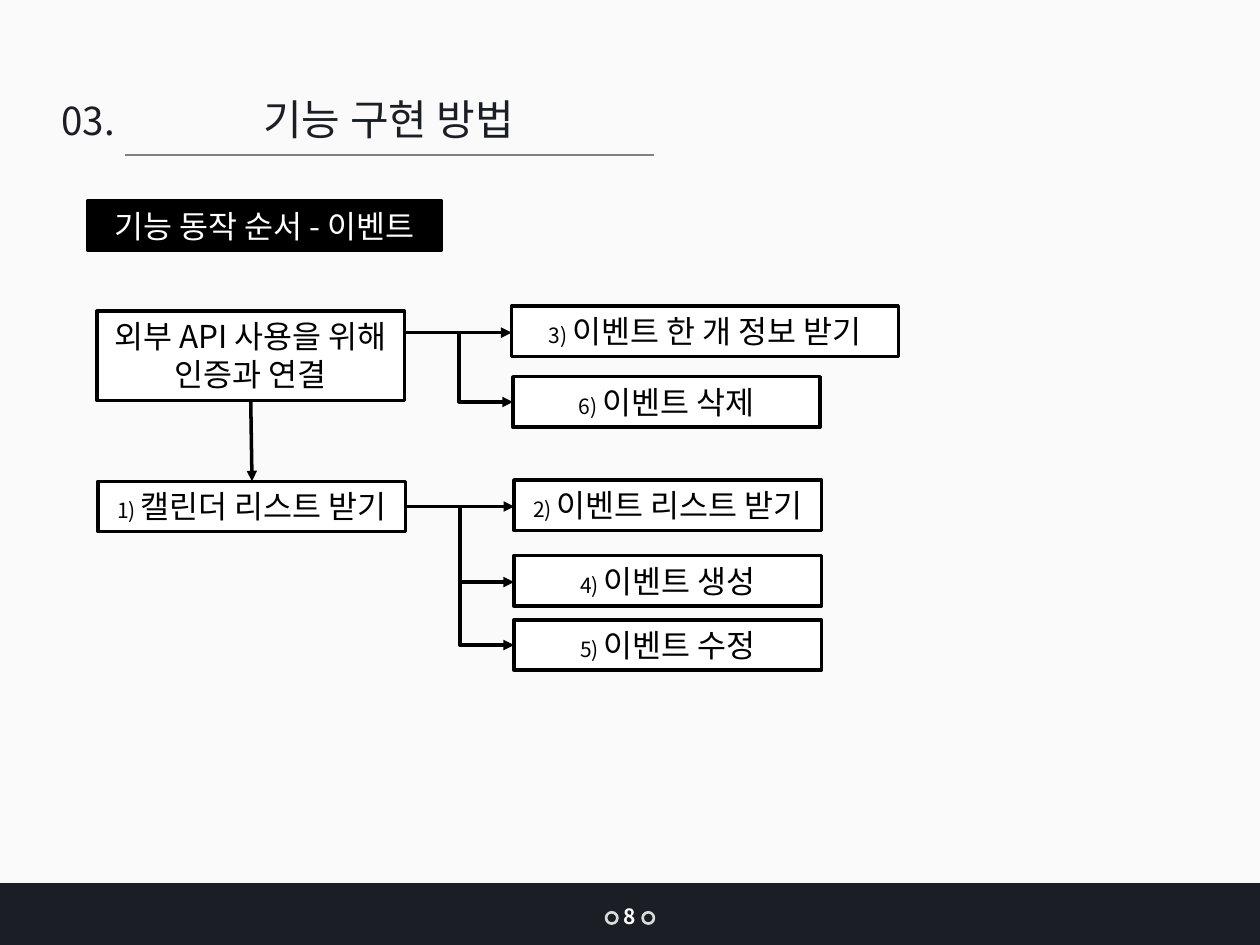
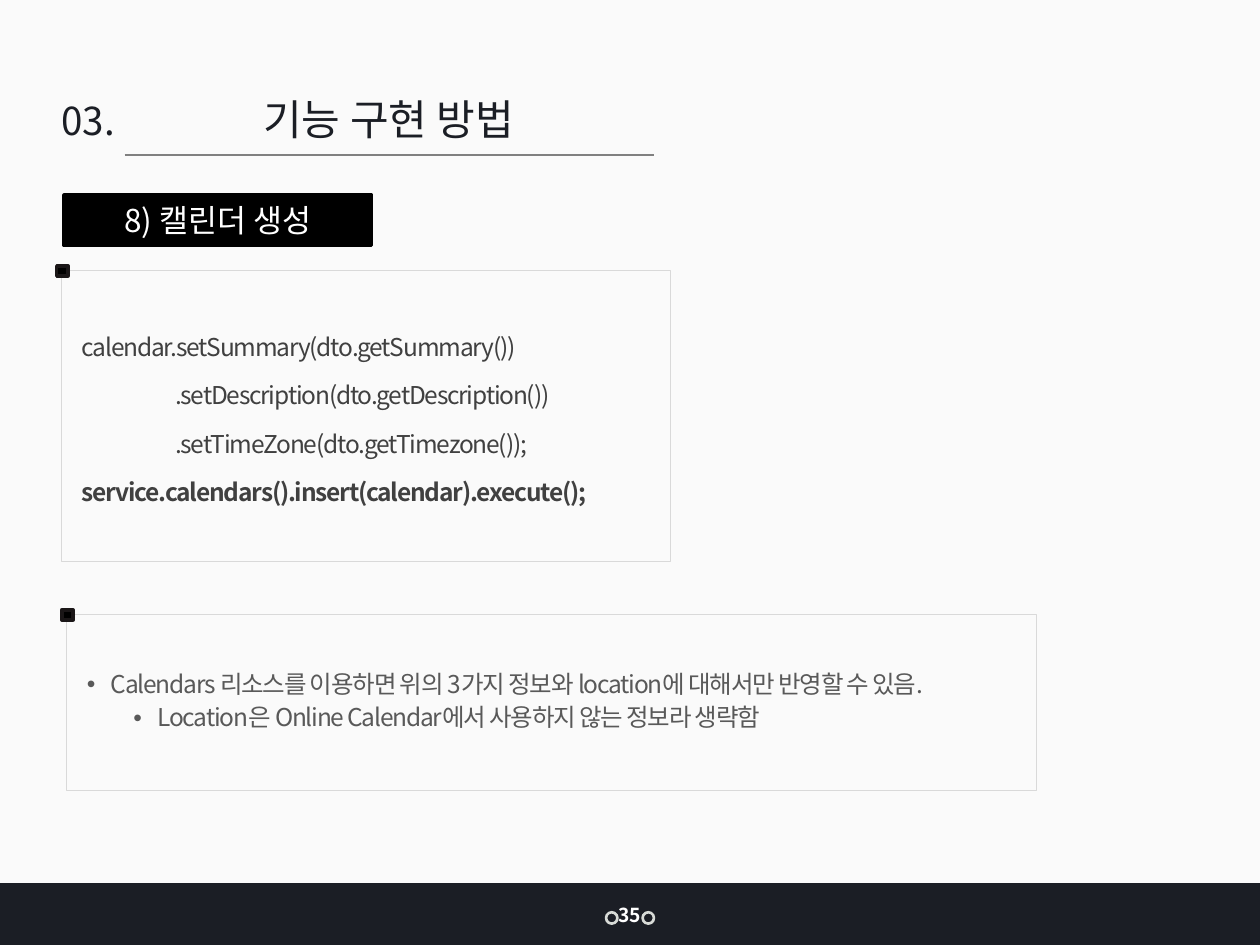
"""Builds two slides on how the calendar event features are implemented."""
from dataclasses import dataclass

from lxml.etree import SubElement
from pptx import Presentation
from pptx.dml.color import RGBColor as RGB
from pptx.enum.shapes import MSO_CONNECTOR as LINE, MSO_SHAPE as SHAPE
from pptx.enum.text import MSO_ANCHOR as ANCHOR, PP_ALIGN as ALIGN
from pptx.oxml.ns import qn
from pptx.util import Pt

PX = 9144
WIDTH, HEIGHT = 1000, 750


@dataclass(frozen=True)
class Theme:
    """Colours, font and type sizes shared by the slides."""
    font: str = "Noto Sans CJK KR"
    paper: str = "FAFAFA"
    navy: str = "1B1E25"
    ring: str = "D8DBD7"
    rule: str = "808080"
    frame: str = "D9D9D9"
    marker: str = "1A1617"
    black: str = "000000"
    white: str = "FFFFFF"
    code: str = "404040"
    note: str = "595959"
    title: int = 24
    section: int = 22
    label: int = 18
    body: int = 14
    number: int = 12


def write(p, text, size, color, bold=None, tracking=None, align=None):
    """Append a formatted run to a paragraph."""
    if align is not None:
        p.alignment = align
    r = p.add_run()
    r.text = text
    r.font.size = Pt(size)
    r.font.bold = bold
    r.font.color.rgb = RGB.from_string(color)
    r.font.name = Theme.font
    rpr = r.font._element
    SubElement(rpr, qn("a:ea"), typeface=Theme.font)
    if tracking:
        rpr.set("spc", str(tracking))


class Deck:
    """Holds the theme and the current slide and draws elements on it."""

    def __init__(self):
        """Start an empty presentation."""
        self.theme = Theme()
        self.prs = Presentation()
        self.prs.slide_width, self.prs.slide_height = WIDTH * PX, HEIGHT * PX

    def slide(self, page, page_size):
        """Add a slide with the shared title and footer."""
        t = self.theme
        self.s = self.prs.slides.add_slide(self.prs.slide_layouts[6])
        fill = self.s.background.fill
        fill.solid()
        fill.fore_color.rgb = RGB.from_string(t.paper)
        self.shape(0, 701, WIDTH, 49, fill=t.navy)
        for x in (481, 510):
            self.shape(x, 724, 9, 9, SHAPE.OVAL, t.navy, t.ring, 1.5)
        self.text(70, 69, 477, 50, "기능 구현 방법", t.title, t.navy)
        self.text(30, 72, 80, 47, "03.", t.section, t.navy)
        self.line((99, 123), (519, 123), t.rule, 0.75)
        self.text(480, 712, 40, 30, page, page_size, t.white, bold=True, wrap=False)

    def shape(self, x, y, w, h, kind=SHAPE.RECTANGLE, fill=None, line=None, weight=2):
        """Draw a preset shape and return it."""
        sp = self.s.shapes.add_shape(kind, x * PX, y * PX, w * PX, h * PX)
        sp.shadow.inherit = False
        if fill:
            sp.fill.solid()
            sp.fill.fore_color.rgb = RGB.from_string(fill)
        else:
            sp.fill.background()
        if line:
            sp.line.color.rgb = RGB.from_string(line)
            sp.line.width = Pt(weight)
        else:
            sp.line.fill.background()
        return sp

    def text(self, x, y, w, h, text, size, color, bold=None, wrap=True):
        """Draw a centred text box."""
        tf = self.s.shapes.add_textbox(x * PX, y * PX, w * PX, h * PX).text_frame
        tf.word_wrap = wrap
        write(tf.paragraphs[0], text, size, color, bold=bold, align=ALIGN.CENTER)

    def box(self, x, y, w, h, text, number="", dark=False):
        """Draw a bordered label with an optional small step number."""
        t = self.theme
        fill, ink = (t.black, t.white) if dark else (t.white, t.black)
        tf = self.shape(x, y, w, h, fill=fill, line=t.black).text_frame
        tf.word_wrap = True
        tf.vertical_anchor = ANCHOR.TOP
        p = tf.paragraphs[0]
        if number:
            write(p, f"{number}) ", t.number, ink)
        write(p, text, t.label, ink, align=ALIGN.CENTER)

    def line(self, start, end, color, weight, kind=LINE.STRAIGHT, arrow=False):
        """Draw a straight or bent connector."""
        points = [v * PX for v in (*start, *end)]
        cx = self.s.shapes.add_connector(kind, *points)
        cx.line.color.rgb = RGB.from_string(color)
        cx.line.width = Pt(weight)
        if arrow:
            SubElement(cx.line._get_or_add_ln(), qn("a:tailEnd"), type="triangle")
        SubElement(cx._element.spPr, qn("a:effectLst"))

    def arrow(self, start, end, kind=LINE.STRAIGHT):
        """Draw a flow arrow."""
        self.line(start, end, self.theme.black, 2, kind, True)

    def panel(self, x, y, w, h):
        """Draw a framed panel with a corner marker and return its text frame."""
        t = self.theme
        tf = self.shape(x, y, w, h, line=t.frame, weight=0.5).text_frame
        self.shape(x - 4, y - 4, 9, 8, fill=t.black, line=t.marker)
        tf.word_wrap = True
        tf.vertical_anchor = ANCHOR.MIDDLE
        tf.margin_left = tf.margin_right = 16 * PX
        return tf

    def paragraphs(self, tf, count, spacing, before):
        """Yield spaced left-aligned paragraphs of a text frame."""
        for i in range(count):
            p = tf.add_paragraph() if i else tf.paragraphs[0]
            p.alignment = ALIGN.LEFT
            p.line_spacing = spacing
            p.space_before = Pt(before if i else 0)
            yield p

    def code(self, x, y, w, h, lines, tab):
        """Draw a panel of code whose last line is bold."""
        t = self.theme
        tf = self.panel(x, y, w, h)
        for p, text in zip(self.paragraphs(tf, len(lines), 1.2, 7.5), lines):
            tabs = SubElement(p._p.get_or_add_pPr(), qn("a:tabLst"))
            SubElement(tabs, qn("a:tab"), pos=str(tab * PX), algn="l")
            write(p, text, t.body, t.code, bold=text == lines[-1], tracking=-70)

    def bullets(self, x, y, w, h, items):
        """Draw a panel of bullets, each one level deeper than the last."""
        t = self.theme
        tf = self.panel(x, y, w, h)
        for level, p in enumerate(self.paragraphs(tf, len(items), 0.9, 3.8)):
            p.level = level
            ppr = p._p.get_or_add_pPr()
            ppr.set("marL", str((19 + 37 * level) * PX))
            ppr.set("indent", str(-19 * PX))
            SubElement(ppr, qn("a:buFont"), typeface="Arial")
            SubElement(ppr, qn("a:buChar"), char="•")
            write(p, items[level], t.body, t.note, tracking=-70)


def event_flow(deck):
    """Draw the order in which the event features run."""
    deck.slide("8", 12)
    deck.box(77, 247, 244, 71, "외부 API 사용을 위해 인증과 연결")
    steps = [
        (1, 78, 382, 244, "캘린더 리스트 받기"),
        (2, 408, 381, 244, "이벤트 리스트 받기"),
        (3, 406, 243, 307, "이벤트 한 개 정보 받기"),
        (4, 408, 441, 244, "이벤트 생성"),
        (5, 408, 492, 244, "이벤트 수정"),
        (6, 407, 299, 244, "이벤트 삭제"),
    ]
    for number, x, y, w, text in steps:
        deck.box(x, y, w, 40, text, number)
    auth, calendars = (322, 264), (322, 402)
    deck.arrow((199, 317), (200, 382))
    deck.arrow(auth, (406, 264))
    deck.arrow(calendars, (408, 402))
    for start, end in ((auth, (407, 319)), (calendars, (408, 462)), (calendars, (408, 512))):
        deck.arrow(start, end, LINE.ELBOW)
    deck.box(70, 159, 280, 40, "기능 동작 순서 - 이벤트", dark=True)


def calendar_creation(deck):
    """Show the code that creates a calendar and its notes."""
    deck.slide("35", 11)
    deck.box(51, 155, 244, 40, "8) 캘린더 생성", dark=True)
    deck.code(49, 215, 483, 231, [
        "calendar.setSummary(dto.getSummary())",
        "\t.setDescription(dto.getDescription())",
        "\t.setTimeZone(dto.getTimezone());",
        "service.calendars().insert(calendar).execute();",
    ], tab=74)
    deck.bullets(53, 488, 770, 139, [
        "Calendars 리소스를 이용하면 위의 3가지 정보와 location에 대해서만 반영할 수 있음.",
        "Location은 Online Calendar에서 사용하지 않는 정보라 생략함",
    ])


def main():
    """Build and save the presentation."""
    deck = Deck()
    event_flow(deck)
    calendar_creation(deck)
    deck.prs.save("out.pptx")


if __name__ == "__main__":
    main()
